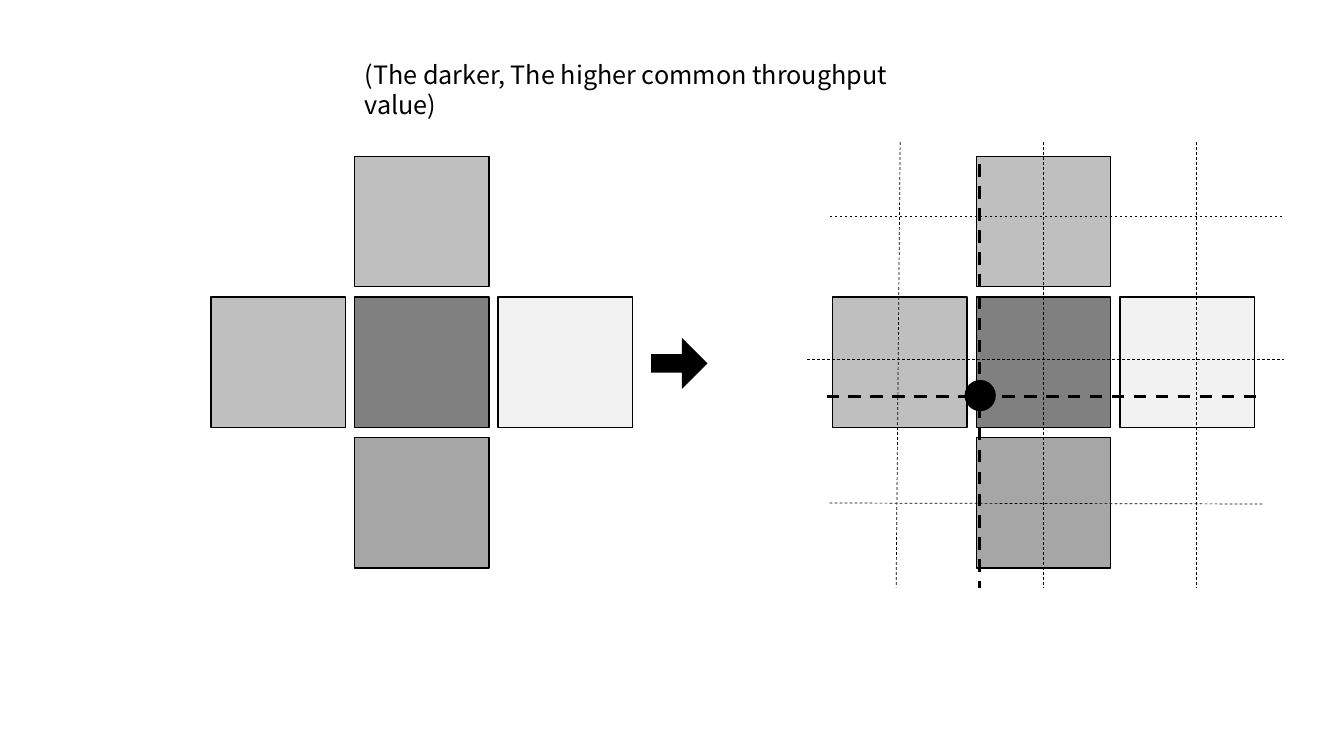
from dataclasses import dataclass

from lxml.etree import SubElement
from pptx import Presentation
from pptx.dml.color import RGBColor
from pptx.enum.dml import MSO_LINE
from pptx.enum.shapes import MSO_CONNECTOR, MSO_SHAPE
from pptx.oxml.ns import qn
from pptx.util import Pt


@dataclass(frozen=True)
class Theme:
    font: str = "Noto Sans CJK KR"
    caption_size: float = 18
    ink: str = "000000"
    darkest: str = "808080"
    dark: str = "A6A6A6"
    medium: str = "BFBFBF"
    light: str = "F2F2F2"
    outline: float = 1
    thin: float = 0.5
    thick: float = 2.25


class Painter:
    def __init__(self, page, theme):
        self.page = page
        self.theme = theme

    def shape(self, kind, left, top, width, height, color, outline=None):
        shape = self.page.shapes.add_shape(
            kind, Pt(left), Pt(top), Pt(width), Pt(height))
        shape.shadow.inherit = False
        shape.fill.solid()
        shape.fill.fore_color.rgb = RGBColor.from_string(color)
        if outline is None:
            shape.line.fill.background()
        else:
            shape.line.color.rgb = RGBColor.from_string(self.theme.ink)
            shape.line.width = Pt(outline)
        return shape

    def dashed_line(self, start_x, start_y, end_x, end_y, weight):
        connector = self.page.shapes.add_connector(
            MSO_CONNECTOR.STRAIGHT,
            Pt(start_x), Pt(start_y), Pt(end_x), Pt(end_y))
        connector.line.color.rgb = RGBColor.from_string(self.theme.ink)
        connector.line.width = Pt(weight)
        connector.line.dash_style = MSO_LINE.DASH
        SubElement(connector._element.spPr, qn("a:effectLst"))

    def caption(self, text, left, top, width, height):
        box = self.page.shapes.add_textbox(
            Pt(left), Pt(top), Pt(width), Pt(height))
        box.text_frame.word_wrap = True
        box.text_frame.text = text
        font = box.text_frame.paragraphs[0].runs[0].font
        font.name = self.theme.font
        font.size = Pt(self.theme.caption_size)
        font.color.rgb = RGBColor.from_string(self.theme.ink)

    def cross(self, left, top):
        """Five cells in a plus, on a three by three grid."""
        theme = self.theme
        cells = [
            (1, 0, theme.medium),
            (0, 1, theme.medium),
            (1, 1, theme.darkest),
            (2, 1, theme.light),
            (1, 2, theme.dark),
        ]
        for column, row, color in cells:
            self.shape(MSO_SHAPE.RECTANGLE, left + column * 102.6,
                       top + row * 100.5, 96, 93, color, theme.outline)


def main():
    theme = Theme()
    deck = Presentation()
    deck.slide_width, deck.slide_height = Pt(960), Pt(540)
    page = deck.slides.add_slide(deck.slide_layouts[6])
    painter = Painter(page, theme)

    # Cell maps before and after the arrow
    for left in (150.6, 594.8):
        painter.cross(left, 111.7)
    arrow = painter.shape(MSO_SHAPE.RIGHT_ARROW, 465.1, 241.2, 40.3, 36.7,
                          theme.ink)
    arrow.adjustments[0] = 0.363
    arrow.adjustments[1] = 0.5

    # Caption
    painter.caption("(The darker, The higher common throughput value)",
                    253.4, 38.9, 442, 29)

    # Chosen point
    painter.shape(MSO_SHAPE.OVAL, 689, 271.4, 22.3, 22.3, theme.ink)

    # Lines through the cell centres, then the axes through the chosen point
    lines = [
        (576.7, 257, 917.3, 257, theme.thin),
        (592.6, 154.8, 917.3, 154.8, theme.thin),
        (643, 101.5, 640.1, 419.8, theme.thin),
        (745.2, 101.5, 745.2, 419.8, theme.thin),
        (854.6, 101.5, 854.6, 419.8, theme.thin),
        (592.6, 359.3, 902.9, 360, theme.thin),
        (590.4, 283, 902.9, 283, theme.thick),
        (699.8, 117.4, 699.8, 419.8, theme.thick),
    ]
    for line in lines:
        painter.dashed_line(*line)

    deck.save("out.pptx")


if __name__ == "__main__":
    main()
